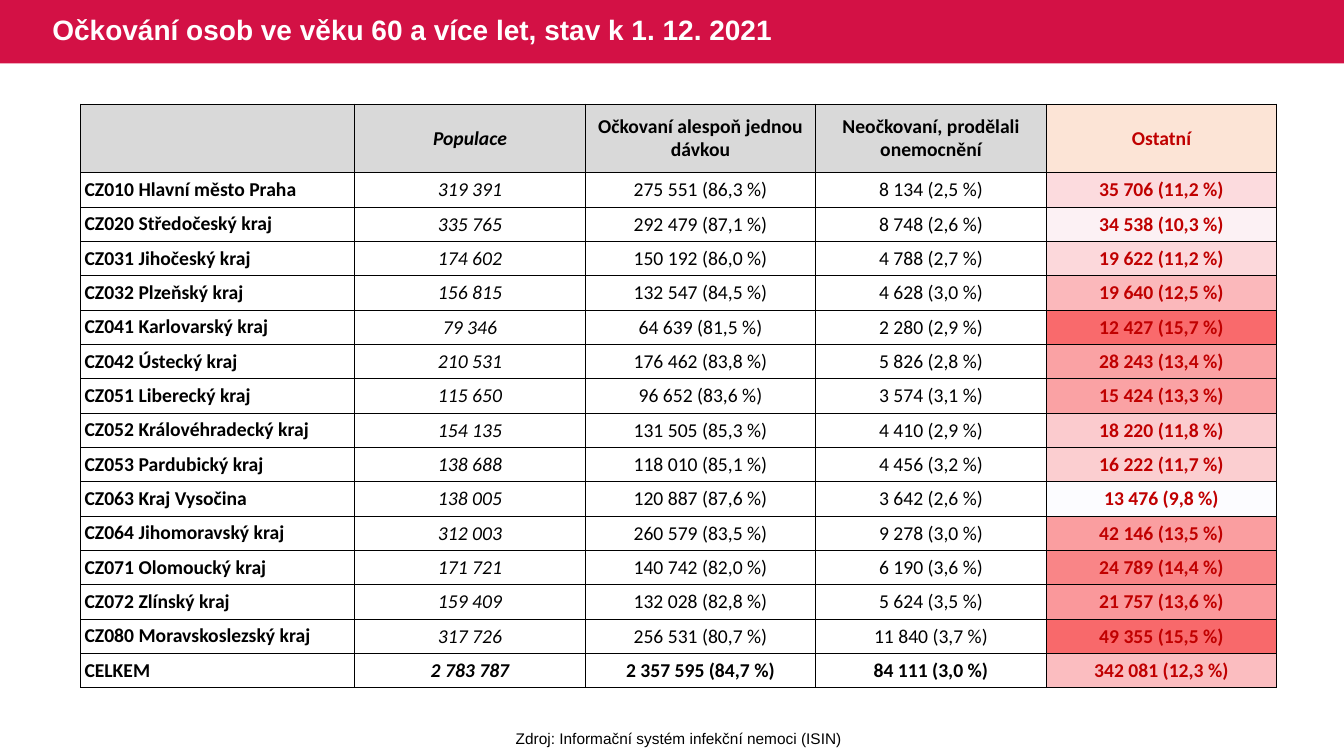
from lxml.etree import SubElement
from pptx import Presentation
from pptx.dml.color import RGBColor
from pptx.enum.shapes import MSO_SHAPE
from pptx.enum.text import MSO_ANCHOR, MSO_AUTO_SIZE, PP_ALIGN
from pptx.oxml import parse_xml
from pptx.oxml.ns import nsdecls, qn
from pptx.util import Cm, Pt

HEADLINE = "Očkování osob ve věku 60 a více let, stav k 1. 12. 2021"
SOURCE = "Zdroj: Informační systém infekční nemoci (ISIN)"
HEADER = ("", "Populace", "Očkovaní alespoň jednou dávkou",
          "Neočkovaní, prodělali onemocnění", "Ostatní")
REGIONS = [
    ("CZ010 Hlavní město Praha", "319 391", "275 551 (86,3 %)", "8 134 (2,5 %)", "35 706 (11,2 %)"),
    ("CZ020 Středočeský kraj", "335 765", "292 479 (87,1 %)", "8 748 (2,6 %)", "34 538 (10,3 %)"),
    ("CZ031 Jihočeský kraj", "174 602", "150 192 (86,0 %)", "4 788 (2,7 %)", "19 622 (11,2 %)"),
    ("CZ032 Plzeňský kraj", "156 815", "132 547 (84,5 %)", "4 628 (3,0 %)", "19 640 (12,5 %)"),
    ("CZ041 Karlovarský kraj", "79 346", "64 639 (81,5 %)", "2 280 (2,9 %)", "12 427 (15,7 %)"),
    ("CZ042 Ústecký kraj", "210 531", "176 462 (83,8 %)", "5 826 (2,8 %)", "28 243 (13,4 %)"),
    ("CZ051 Liberecký kraj", "115 650", "96 652 (83,6 %)", "3 574 (3,1 %)", "15 424 (13,3 %)"),
    ("CZ052 Královéhradecký kraj", "154 135", "131 505 (85,3 %)", "4 410 (2,9 %)", "18 220 (11,8 %)"),
    ("CZ053 Pardubický kraj", "138 688", "118 010 (85,1 %)", "4 456 (3,2 %)", "16 222 (11,7 %)"),
    ("CZ063 Kraj Vysočina", "138 005", "120 887 (87,6 %)", "3 642 (2,6 %)", "13 476 (9,8 %)"),
    ("CZ064 Jihomoravský kraj", "312 003", "260 579 (83,5 %)", "9 278 (3,0 %)", "42 146 (13,5 %)"),
    ("CZ071 Olomoucký kraj", "171 721", "140 742 (82,0 %)", "6 190 (3,6 %)", "24 789 (14,4 %)"),
    ("CZ072 Zlínský kraj", "159 409", "132 028 (82,8 %)", "5 624 (3,5 %)", "21 757 (13,6 %)"),
    ("CZ080 Moravskoslezský kraj", "317 726", "256 531 (80,7 %)", "11 840 (3,7 %)", "49 355 (15,5 %)"),
    ("CELKEM", "2 783 787", "2 357 595 (84,7 %)", "84 111 (3,0 %)", "342 081 (12,3 %)"),
]
HEAT = ["FCDBDE", "FCF1F4", "FCD8DB", "FBB8BB", "F96A6C", "FAA2A4", "FAA2A4", "FBCBCE",
        "FBCED0", "FCFCFF", "FA9EA0", "F98587", "FA989B", "F8696B", "FBBDC0"]

CRIMSON = RGBColor(0xD3, 0x11, 0x45)
WHITE = RGBColor(0xFF, 0xFF, 0xFF)
BLACK = RGBColor(0, 0, 0)
DARK_RED = RGBColor(0xC0, 0, 0)
GREY = RGBColor(0xD9, 0xD9, 0xD9)
PEACH = RGBColor(0xFC, 0xE4, 0xD6)
NO_GRID_STYLE = "{2D5ABB26-0587-4C30-8999-92F81FD0307C}"

TABLE_LEFT, TABLE_TOP = Cm(2.03), Cm(2.62)
NAME_WIDTH, VALUE_WIDTH = Cm(6.91), Cm(5.81)
HEADER_HEIGHT, REGION_HEIGHT = Cm(1.73), Cm(12.98) // len(REGIONS)
BAND_HEIGHT = Cm(1.6)
OTHERS = len(HEADER) - 1
TOTAL = len(REGIONS)


def style(paragraph, font_name, size, color, bold=False, italic=False):
    font = paragraph.font
    font.name, font.size, font.bold, font.italic = font_name, Pt(size), bold, italic
    font.color.rgb = color


def fill_solid(part, color):
    part.fill.solid()
    part.fill.fore_color.rgb = color


def add_grid(slide, left, top, widths, heights):
    table = slide.shapes.add_table(len(heights), len(widths), left, top,
                                   sum(widths), sum(heights)).table
    table.first_row = table.horz_banding = False
    table._tbl.tblPr.find(qn("a:tableStyleId")).text = NO_GRID_STYLE
    for column, width in zip(table.columns, widths):
        column.width = width
    for row, height in zip(table.rows, heights):
        row.height = height
    for cell in table.iter_cells():
        cell.vertical_anchor = MSO_ANCHOR.MIDDLE
        cell.margin_left = cell.margin_right = Cm(0.1)
        cell.margin_top = cell.margin_bottom = 0
    return table


def add_borders(cell):
    properties = cell._tc.get_or_add_tcPr()
    for position, side in enumerate(("lnL", "lnR", "lnT", "lnB")):
        line = parse_xml(f'<a:{side} {nsdecls("a")} w="{Pt(0.5)}"/>')
        SubElement(SubElement(line, qn("a:solidFill")), qn("a:srgbClr"), val=str(BLACK))
        properties.insert(position, line)


def add_heat(slide):
    left = TABLE_LEFT + NAME_WIDTH + (OTHERS - 1) * VALUE_WIDTH
    heat = add_grid(slide, left, TABLE_TOP + HEADER_HEIGHT,
                    [VALUE_WIDTH], [REGION_HEIGHT] * len(HEAT))
    for cell, shade in zip(heat.iter_cells(), HEAT):
        fill_solid(cell, RGBColor.from_string(shade))
        style(cell.text_frame.paragraphs[0], "Calibri", 14, BLACK)


def add_regions(slide):
    regions = add_grid(slide, TABLE_LEFT, TABLE_TOP,
                       [NAME_WIDTH] + [VALUE_WIDTH] * OTHERS,
                       [HEADER_HEIGHT] + [REGION_HEIGHT] * len(REGIONS))
    for r, entries in enumerate([HEADER] + REGIONS):
        for c, entry in enumerate(entries):
            cell = regions.cell(r, c)
            cell.text = entry
            if r == 0:
                fill_solid(cell, PEACH if c == OTHERS else GREY)
            else:
                cell.fill.background()
            if r and c:
                cell.margin_left = cell.margin_right = cell.margin_top = Cm(0.02)
            paragraph = cell.text_frame.paragraphs[0]
            paragraph.alignment = PP_ALIGN.CENTER if c else PP_ALIGN.LEFT
            style(paragraph, "Calibri", 14, DARK_RED if c == OTHERS else BLACK,
                  bold=r in (0, TOTAL) or c in (0, OTHERS), italic=c == 1)
            add_borders(cell)


def main():
    deck = Presentation()
    deck.slide_width, deck.slide_height = Cm(33.87), Cm(19.05)
    slide = deck.slides.add_slide(deck.slide_layouts[6])

    band = slide.shapes.add_shape(MSO_SHAPE.RECTANGLE, 0, 0, deck.slide_width, BAND_HEIGHT)
    band.shadow.inherit = False
    fill_solid(band, CRIMSON)
    band.line.fill.background()

    add_heat(slide)

    headline = slide.shapes.add_textbox(Cm(1.07), 0, Cm(21.03), BAND_HEIGHT).text_frame
    headline.word_wrap = True
    headline.vertical_anchor = MSO_ANCHOR.MIDDLE
    headline.text = HEADLINE
    headline.paragraphs[0].line_spacing = 0.9
    style(headline.paragraphs[0], "Arial", 20, WHITE, bold=True)

    add_regions(slide)

    source = slide.shapes.add_textbox(Cm(12.73), Cm(18.26), Cm(8.76), Cm(0.73)).text_frame
    source.word_wrap = False
    source.auto_size = MSO_AUTO_SIZE.SHAPE_TO_FIT_TEXT
    source.text = SOURCE
    source.paragraphs[0].alignment = PP_ALIGN.CENTER
    style(source.paragraphs[0], "Arial", 11, BLACK)

    deck.save("out.pptx")


if __name__ == "__main__":
    main()
